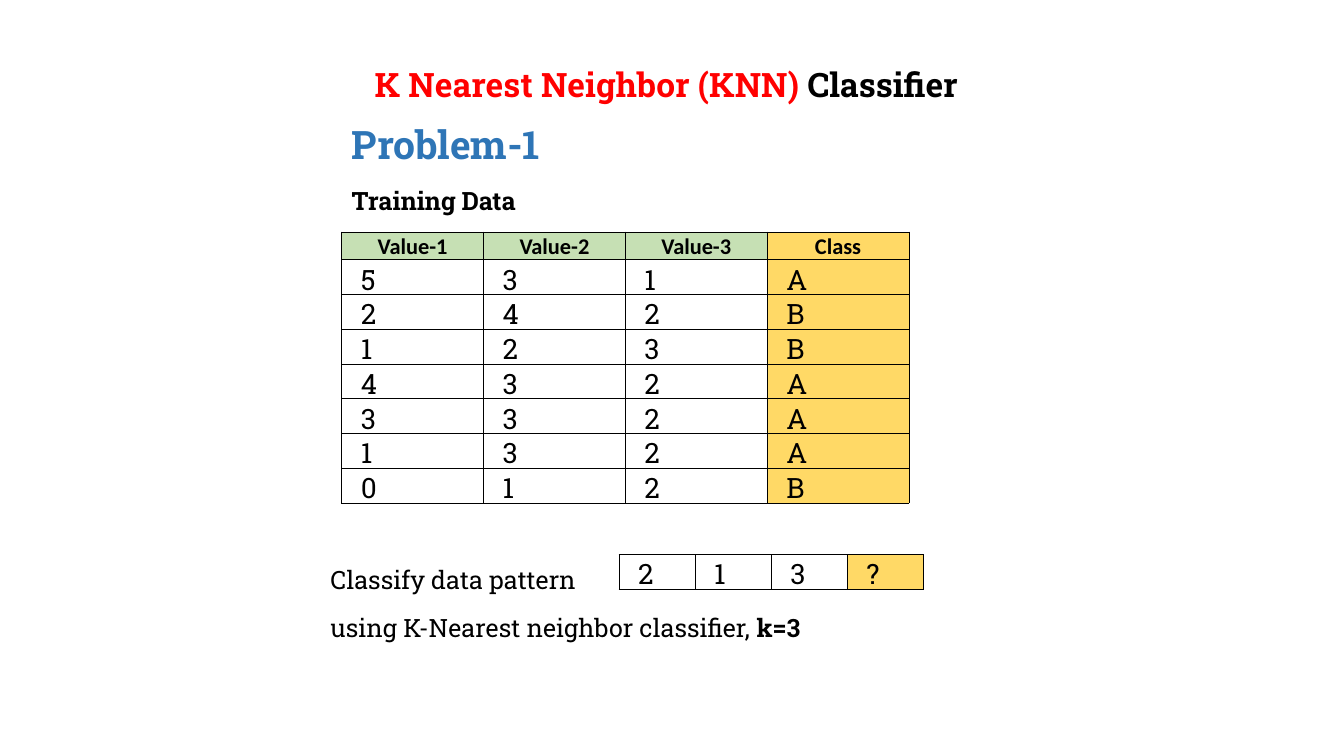
from collections import namedtuple

from lxml.etree import SubElement
from pptx import Presentation
from pptx.dml.color import RGBColor
from pptx.enum.text import MSO_ANCHOR as Anchor, MSO_AUTO_SIZE as AutoSize, PP_ALIGN as Align
from pptx.oxml.ns import qn
from pptx.util import Inches, Pt

Box = namedtuple("Box", "left top width height")

SLIDE_WIDTH, SLIDE_HEIGHT = Inches(13.33), Inches(7.5)
SLAB, SANS = "Roboto Slab", "Calibri"
COLORS = {
    "black": "000000",
    "red": "FF0000",
    "blue": "2E75B6",
    "green": "C6E0B4",
    "gold": "FFD966",
}
HEADER = ["Value-1", "Value-2", "Value-3", "Class"]
TRAINING = ["531A", "242B", "123B", "432A", "332A", "132A", "012B"]
PATTERN = ["213?"]


def share(left, top, width, height):
    """Turn percentages of the slide into a box."""
    return Box(
        int(SLIDE_WIDTH * left / 100),
        int(SLIDE_HEIGHT * top / 100),
        int(SLIDE_WIDTH * width / 100),
        int(SLIDE_HEIGHT * height / 100),
    )


def color(name):
    """Look up a named colour."""
    return RGBColor.from_string(COLORS[name])


def style_font(font, size, tint="black", bold=False, family=SLAB):
    """Set all the font properties in use here."""
    font.name, font.size, font.bold = family, Pt(size), bold
    font.color.rgb = color(tint)


def prepare_frame(frame):
    """Make a text frame wrap, start at its top and fit its text."""
    frame.word_wrap = True
    frame.vertical_anchor = Anchor.TOP
    frame.auto_size = AutoSize.SHAPE_TO_FIT_TEXT


def add_title(slide, box):
    """Fill the title placeholder with its two-coloured heading."""
    title = slide.shapes.title
    title.left, title.top, title.width, title.height = box
    prepare_frame(title.text_frame)
    heading = title.text_frame.paragraphs[0]
    heading.alignment, heading.line_spacing = Align.CENTER, 1.15
    for words, tint in [("K Nearest Neighbor (KNN)", "red"), (" Classifier ", "black")]:
        run = heading.add_run()
        run.text = words
        style_font(run.font, 24, tint, True)


def add_lines(slide, box, lines):
    """Add a text box of spaced lines and return its paragraphs."""
    frame = slide.shapes.add_textbox(*box).text_frame
    prepare_frame(frame)
    frame.text = "\n".join(words for words, *_ in lines)
    for paragraph, (_, *look) in zip(frame.paragraphs, lines):
        paragraph.line_spacing, paragraph.space_after = 1.15, Pt(10)
        style_font(paragraph.font, *look)
    return frame.paragraphs


def add_task(slide, box):
    """Add the question with its bold value of k."""
    task = add_lines(slide, box, [
        ("Classify data pattern", 18),
        ("using K-Nearest neighbor classifier, ", 18),
    ])
    neighbors = task[-1].add_run()
    neighbors.text = "k=3"
    neighbors.font.bold = True


def add_borders(cell):
    """Draw a thin black line on each side of a cell."""
    properties = cell._tc.get_or_add_tcPr()
    for side in ("lnL", "lnR", "lnT", "lnB"):
        line = SubElement(properties, qn(f"a:{side}"), w=str(Pt(0.5)))
        fill = SubElement(line, qn("a:solidFill"))
        SubElement(fill, qn("a:srgbClr"), val=COLORS["black"])


def fill_cell(cell, words, tint, is_header):
    """Write and style one table cell."""
    add_borders(cell)
    if tint:
        cell.fill.solid()
        cell.fill.fore_color.rgb = color(tint)
    else:
        cell.fill.background()
    cell.margin_left = Inches(0.01 if is_header else 0.19)
    cell.margin_right = cell.margin_top = Inches(0.01)
    cell.margin_bottom = 0
    cell.vertical_anchor = Anchor.BOTTOM if is_header else Anchor.MIDDLE
    cell.text = words
    paragraph = cell.text_frame.paragraphs[0]
    if is_header:
        paragraph.alignment = Align.CENTER
        style_font(paragraph.font, 16, bold=True, family=SANS)
    else:
        style_font(paragraph.font, 20)


def add_data_table(slide, box, records, header=None):
    """Add a table whose last column, the class, is gold."""
    rows = ([header] if header else []) + records
    columns = len(rows[0])
    table = slide.shapes.add_table(len(rows), columns, *box).table
    table.first_row = table.horz_banding = False
    for column in table.columns:
        column.width = box.width // columns
    header_height = int(box.height * 0.1) if header else 0
    for index, values in enumerate(rows):
        is_header = values is header
        record_height = (box.height - header_height) // len(records)
        table.rows[index].height = header_height if is_header else record_height
        for position, words in enumerate(values):
            plain = "green" if is_header else None
            tint = "gold" if position == columns - 1 else plain
            fill_cell(table.cell(index, position), words, tint, is_header)


def build_problem_slide(deck):
    """Lay out the classifier problem on a new slide."""
    slide = deck.slides.add_slide(deck.slide_layouts[5])
    add_title(slide, share(25.43, 6.93, 48.9, 7.47))
    add_data_table(slide, share(25.43, 30.67, 42.2, 35.73), TRAINING, HEADER)
    add_lines(slide, share(25.43, 14.27, 50, 14.93), [
        ("Problem-1", 28, "blue", True),
        ("Training Data", 18, "black", True),
    ])
    add_task(slide, share(23.85, 73.33, 40.3, 16.93))
    add_data_table(slide, share(46.05, 73.33, 22.65, 4.6), PATTERN)


def main():
    """Build and save the deck."""
    deck = Presentation()
    deck.slide_width, deck.slide_height = SLIDE_WIDTH, SLIDE_HEIGHT
    build_problem_slide(deck)
    deck.save("out.pptx")


if __name__ == "__main__":
    main()
